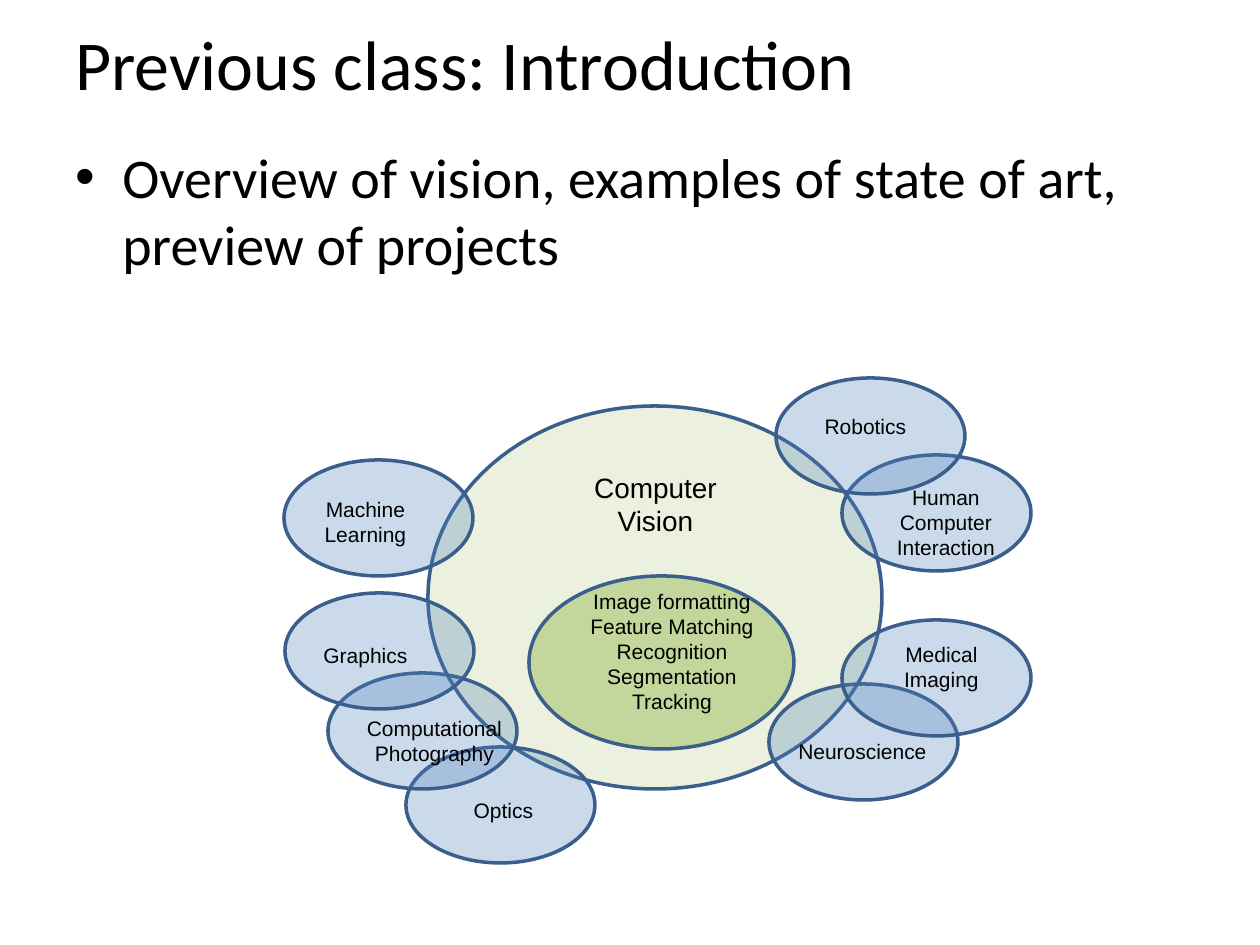
from lxml import etree
from pptx import Presentation
from pptx.dml.color import RGBColor
from pptx.enum.shapes import MSO_SHAPE
from pptx.enum.text import MSO_ANCHOR, MSO_AUTO_SIZE, PP_ALIGN
from pptx.oxml.ns import qn
from pptx.util import Emu, Pt

OVAL = MSO_SHAPE.OVAL
TOP, MIDDLE = MSO_ANCHOR.TOP, MSO_ANCHOR.MIDDLE
LEFT, CENTER = PP_ALIGN.LEFT, PP_ALIGN.CENTER
NONE, GROW = MSO_AUTO_SIZE.NONE, MSO_AUTO_SIZE.SHAPE_TO_FIT_TEXT
SCALE = 914400 / 126
COLORS = {"text": "000000", "vision": "EBF1DE", "core": "C3D69B",
          "field": "4F81BD", "line": "3A5F8C"}
FIELD_W, FIELD_H = 189, 116
FIELDS = [(284, 460), (406, 747), (769, 684), (842, 620),
          (842, 455), (328, 673), (285, 593), (776, 378)]
LABELS = [
    ("Robotics", 790, 407, 151, 38),
    ("Neuroscience", 782, 732, 161, 38),
    ("Graphics", 290, 636, 151, 38),
    ("Computational Photography", 340, 709, 189, 63),
    ("Machine Learning", 290, 490, 151, 63),
    ("Medical Imaging", 866, 635, 151, 63),
    ("Human Computer Interaction", 864, 478, 164, 89),
    ("Optics", 428, 791, 151, 38),
]
TOPICS = "Image formatting\vFeature Matching\vRecognition\nSegmentation\nTracking"


def px(n):
    return Emu(round(n * SCALE))


def rgb(name):
    return RGBColor.from_string(COLORS[name])


def add_text(slide, text, x, y, w, h, size, face="Arial",
             align=CENTER, anchor=TOP, fit=GROW):
    box = slide.shapes.add_textbox(px(x), px(y), px(w), px(h))
    frame = box.text_frame
    look = {"word_wrap": True, "auto_size": fit, "vertical_anchor": anchor}
    for key, value in look.items():
        setattr(frame, key, value)
    frame.text = text
    for para in frame.paragraphs:
        para.alignment = align
        for run in para.runs:
            for key, value in {"name": face, "size": Pt(size)}.items():
                setattr(run.font, key, value)
            run.font.color.rgb = rgb("text")
    return frame


def add_bullet(para, indent):
    props = para._p.get_or_add_pPr()
    props.set("marL", str(px(indent)))
    props.set("indent", str(-px(indent)))
    etree.SubElement(props, qn("a:buFont")).set("typeface", "Arial")
    etree.SubElement(props, qn("a:buChar")).set("char", "•")


def add_oval(slide, x, y, w, h, color, alpha=None):
    oval = slide.shapes.add_shape(OVAL, px(x), px(y), px(w), px(h))
    oval.shadow.inherit = False
    oval.fill.solid()
    oval.fill.fore_color.rgb = rgb(color)
    oval.line.color.rgb = rgb("line")
    oval.line.width = Pt(2)
    if alpha:
        tint = oval._element.spPr.find(qn("a:solidFill"))[0]
        etree.SubElement(tint, qn("a:alpha")).set("val", str(alpha * 1000))


def main():
    deck = Presentation()
    deck.slide_width, deck.slide_height = px(1260), px(945)
    slide = deck.slides.add_slide(deck.slide_layouts[6])

    add_text(slide, "Previous class: Introduction", 63, 0, 1134, 126, 40,
             "Calibri", LEFT, MIDDLE, NONE)
    body = add_text(
        slide, "Overview of vision, examples of state of art, preview of projects",
        63, 136, 1134, 708, 32, "Calibri", LEFT, TOP, NONE)
    add_bullet(body.paragraphs[0], 47)

    add_oval(slide, 428, 406, 454, 383, "vision")
    for x, y in FIELDS:
        add_oval(slide, x, y, FIELD_W, FIELD_H, "field", 29)
    add_text(slide, "Computer Vision", 542, 464, 227, 81, 16)
    for label in LABELS:
        add_text(slide, *label, 12)
    add_oval(slide, 529, 576, 265, 173, "core")
    add_text(slide, TOPICS, 525, 582, 294, 140, 12)

    deck.save("out.pptx")


if __name__ == "__main__":
    main()
